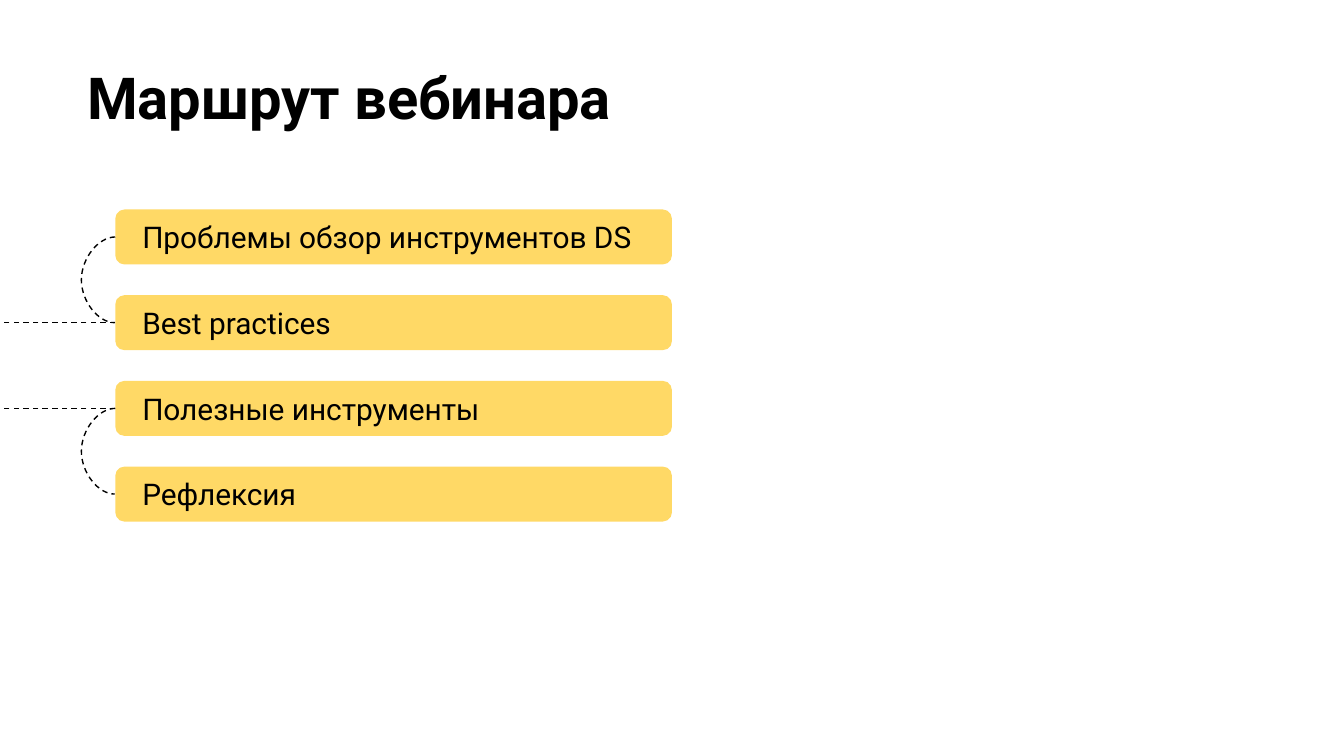
"""Build the webinar route slide."""
from dataclasses import dataclass

from lxml.etree import SubElement
from pptx import Presentation
from pptx.dml.color import RGBColor
from pptx.enum.dml import MSO_LINE_DASH_STYLE as Dash
from pptx.enum.shapes import MSO_CONNECTOR as ConnectorType, MSO_SHAPE as ShapeType
from pptx.enum.text import MSO_ANCHOR as Anchor, PP_ALIGN as Align
from pptx.oxml.ns import qn
from pptx.shapes.connector import Connector
from pptx.slide import Slide
from pptx.text.text import TextFrame
from pptx.util import Cm, Pt

COLORS = {"background": "FFFFFF", "text": "000000", "line": "000000", "step": "FFD966"}
FONT = "Roboto"
STEP_LEFT, STEP_TOP, STEP_WIDTH, STEP_HEIGHT, STEP_PITCH = 2.18, 3.96, 10.52, 1.04, 1.62
CURVE_SPAN, CURVE_BULGE = 0.01, 0.64


@dataclass(frozen=True)
class Step:
    text: str
    row: int

    @property
    def top(self) -> float:
        return STEP_TOP + self.row * STEP_PITCH

    @property
    def middle(self) -> float:
        return self.top + STEP_HEIGHT / 2


STEPS = [
    Step(text, row)
    for row, text in enumerate(
        ["Проблемы обзор инструментов DS", "Best practices", "Полезные инструменты", "Рефлексия"]
    )
]


def color(name: str) -> RGBColor:
    return RGBColor.from_string(COLORS[name])


def write_text(frame: TextFrame, text: str, size: float, side: float, anchor: Anchor, bold: bool = False) -> None:
    frame.word_wrap = True
    frame.vertical_anchor = anchor
    frame.margin_left = frame.margin_right = Cm(side)
    frame.margin_top = frame.margin_bottom = Cm(0.25)
    paragraph = frame.paragraphs[0]
    paragraph.alignment = Align.LEFT
    run = paragraph.add_run()
    run.text = text
    run.font.name = FONT
    run.font.size = Pt(size)
    run.font.bold = bold
    run.font.color.rgb = color("text")


def add_title(slide: Slide, text: str) -> None:
    title = slide.shapes.title
    title.left, title.top, title.width, title.height = Cm(1.4), Cm(0.91), Cm(23.67), Cm(3.05)
    write_text(title.text_frame, text, 31, 0.25, Anchor.TOP, bold=True)


def add_step(slide: Slide, step: Step) -> None:
    shape = slide.shapes.add_shape(
        ShapeType.ROUNDED_RECTANGLE, Cm(STEP_LEFT), Cm(step.top), Cm(STEP_WIDTH), Cm(STEP_HEIGHT)
    )
    shape.shadow.inherit = False
    shape.fill.solid()
    shape.fill.fore_color.rgb = color("step")
    shape.line.fill.background()
    write_text(shape.text_frame, step.text, 16, 0.46, Anchor.MIDDLE)


def add_dashed(slide: Slide, kind: ConnectorType, start: float, end: float, left: float) -> Connector:
    connector = slide.shapes.add_connector(kind, Cm(STEP_LEFT), Cm(start), Cm(left), Cm(end))
    connector.line.color.rgb = color("line")
    connector.line.width = Pt(0.75)
    connector.line.dash_style = Dash.DASH
    SubElement(connector._element.spPr, qn("a:effectLst"))
    return connector


def add_curve(slide: Slide, first: Step, second: Step) -> None:
    curve = add_dashed(slide, ConnectorType.CURVE, first.middle, second.middle, STEP_LEFT - CURVE_SPAN)
    adjustments = curve._element.spPr.find(qn("a:prstGeom")).get_or_add_avLst()
    bulge = round(CURVE_BULGE / CURVE_SPAN * 100000)
    SubElement(adjustments, qn("a:gd"), name="adj1", fmla=f"val {bulge}")


def add_edge_line(slide: Slide, step: Step) -> None:
    add_dashed(slide, ConnectorType.STRAIGHT, step.middle, step.middle, 0)


def main() -> None:
    presentation = Presentation()
    presentation.slide_width, presentation.slide_height = Cm(25.4), Cm(14.29)
    slide = presentation.slides.add_slide(presentation.slide_layouts[5])
    slide.background.fill.solid()
    slide.background.fill.fore_color.rgb = color("background")
    add_title(slide, "Маршрут вебинара")
    for step in STEPS:
        add_step(slide, step)
    for first, second in (STEPS[:2], STEPS[2:]):
        add_curve(slide, first, second)
    for step in STEPS[1:3]:
        add_edge_line(slide, step)
    presentation.save("out.pptx")


if __name__ == "__main__":
    main()
